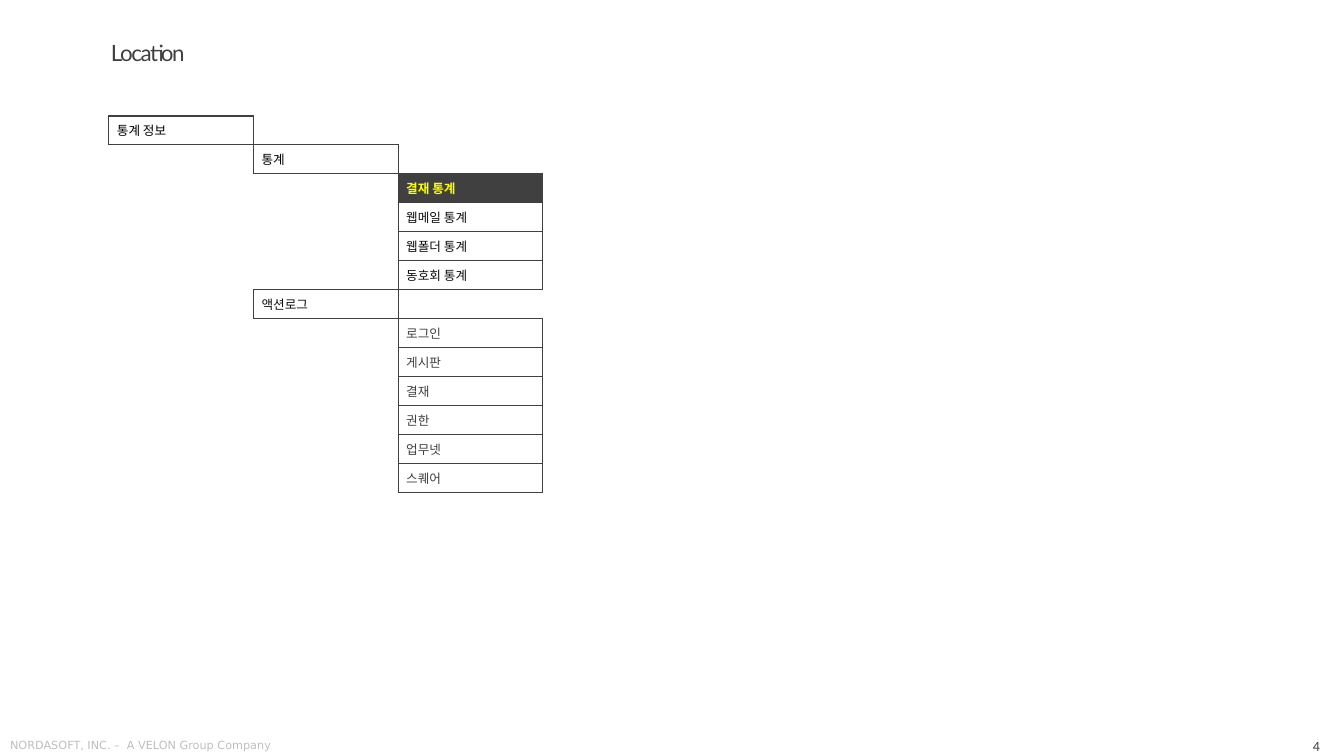
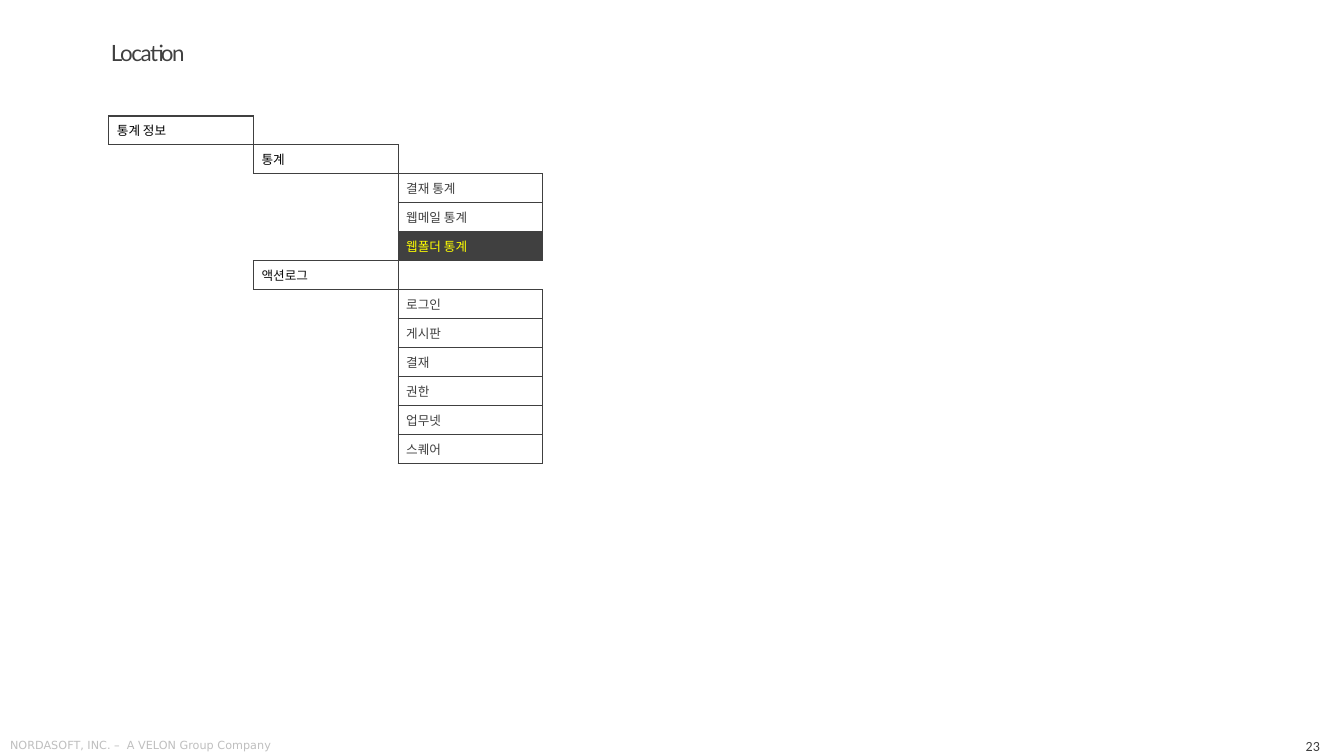
from lxml import etree
from pptx import Presentation
from pptx.dml.color import RGBColor
from pptx.enum.text import MSO_ANCHOR, PP_ALIGN
from pptx.oxml.ns import qn
from pptx.util import Inches, Pt

TOP, MIDDLE = MSO_ANCHOR.TOP, MSO_ANCHOR.MIDDLE
LEFT, RIGHT = PP_ALIGN.LEFT, PP_ALIGN.RIGHT

# Shared look
GRAY, BLACK, NEAR_BLACK = "404040", "000000", "0D0D0D"
PALE, WHITE, YELLOW = "BFBFBF", "FFFFFF", "FFFF00"
MENU_FONT = "Noto Sans CJK KR"
COLUMNS = 4
COLUMN_WIDTH = Inches(5.74) // COLUMNS
ROW_HEIGHT = Inches(3.45) // 12
TITLE = {"at": (1.1, 0.42, 9.37, 0.36), "inset": (0, 0), "anchor": TOP, "align": LEFT,
         "font": {"size": Pt(16), "name": "Lato"}, "color": GRAY}
FOOTER = {"at": (0.06, 7.28, 3.59, 0.21), "inset": (0.04, 0.05), "anchor": TOP, "align": LEFT,
          "font": {"size": Pt(8), "name": "DejaVu Sans"}, "color": PALE}
NUMBER = {"at": (12.42, 7.29, 0.71, 0.21), "inset": (0.04, 0.05), "anchor": MIDDLE, "align": RIGHT,
          "font": {"size": Pt(10), "name": "Calibri"}, "color": GRAY}

# Menu trees: (level, label, text colour), with the current entry and its weight
LOG_ITEMS = ["로그인", "게시판", "결재", "권한", "업무넷", "스퀘어"]
PAGES = [
    {"number": "4", "current": "결재 통계", "bold": True, "item_color": NEAR_BLACK,
     "items": ["결재 통계", "웹메일 통계", "웹폴더 통계", "동호회 통계"]},
    {"number": "23", "current": "웹폴더 통계", "bold": False, "item_color": GRAY,
     "items": ["결재 통계", "웹메일 통계", "웹폴더 통계"]},
]


def rgb(color):
    return RGBColor.from_string(color)


def add_text(page, text, style):
    box = page.shapes.add_textbox(*map(Inches, style["at"]))
    frame = box.text_frame
    side, edge = map(Inches, style["inset"])
    settings = {"word_wrap": True, "vertical_anchor": style["anchor"], "margin_left": side,
                "margin_right": side, "margin_top": edge, "margin_bottom": edge}
    for name, value in settings.items():
        setattr(frame, name, value)
    para = frame.paragraphs[0]
    para.alignment = style["align"]
    span = para.add_run()
    span.text = text
    for name, value in style["font"].items():
        setattr(span.font, name, value)
    span.font.color.rgb = rgb(style["color"])
    return para


deck = Presentation()
deck.slide_width, deck.slide_height = Inches(13.33), Inches(7.5)

for content in PAGES:
    page = deck.slides.add_slide(deck.slide_layouts[6])

    # Footer and title
    add_text(page, content["number"], NUMBER)
    add_text(page, "NORDASOFT, INC. –  A VELON Group Company", FOOTER)
    title = add_text(page, "Location", TITLE)
    title.line_spacing = 0.9
    title.space_before = Pt(10)
    title.runs[0].font._element.set("spc", "-100")

    # Menu table, one entry a row in the column of its level
    entries = [(0, "통계 정보", BLACK), (1, "통계", BLACK)]
    entries += [(2, label, content["item_color"]) for label in content["items"]]
    entries += [(1, "액션로그", NEAR_BLACK)]
    entries += [(2, label, GRAY) for label in LOG_ITEMS]
    filled = {(row, entry[0]) for row, entry in enumerate(entries)}

    table = page.shapes.add_table(len(entries), COLUMNS, Inches(1.08), Inches(1.15),
                                  COLUMN_WIDTH * COLUMNS, ROW_HEIGHT * len(entries)).table
    table.first_row = table.horz_banding = False
    for column in table.columns:
        column.width = COLUMN_WIDTH

    for row, (level, label, color) in enumerate(entries):
        table.rows[row].height = ROW_HEIGHT
        for column in range(COLUMNS):
            cell = table.cell(row, column)
            cell.vertical_anchor = MIDDLE
            cell.margin_left = Inches(0.08)
            cell.margin_right = cell.margin_top = cell.margin_bottom = 0

            # An edge shows where it touches an entry
            neighbours = {"a:lnL": (row, column - 1), "a:lnR": (row, column + 1),
                          "a:lnT": (row - 1, column), "a:lnB": (row + 1, column)}
            properties = cell._tc.get_or_add_tcPr()
            for tag, neighbour in neighbours.items():
                line = etree.SubElement(properties, qn(tag), w=str(Pt(1)))
                if filled & {(row, column), neighbour}:
                    solid = etree.SubElement(line, qn("a:solidFill"))
                    etree.SubElement(solid, qn("a:srgbClr"), val=GRAY)
                else:
                    etree.SubElement(line, qn("a:noFill"))

            para = cell.text_frame.paragraphs[0]
            if column != level:
                cell.fill.background()
                etree.SubElement(para._p, qn("a:endParaRPr"), sz="900")
                continue

            current = label == content["current"]
            cell.fill.solid()
            cell.fill.fore_color.rgb = rgb(GRAY if current else WHITE)
            span = para.add_run()
            span.text = label
            looks = {"size": Pt(9), "name": MENU_FONT, "bold": current and content["bold"]}
            for name, value in looks.items():
                setattr(span.font, name, value)
            span.font.color.rgb = rgb(YELLOW if current else color)
            etree.SubElement(span.font._element, qn("a:ea"), typeface=MENU_FONT)

deck.save("out.pptx")
